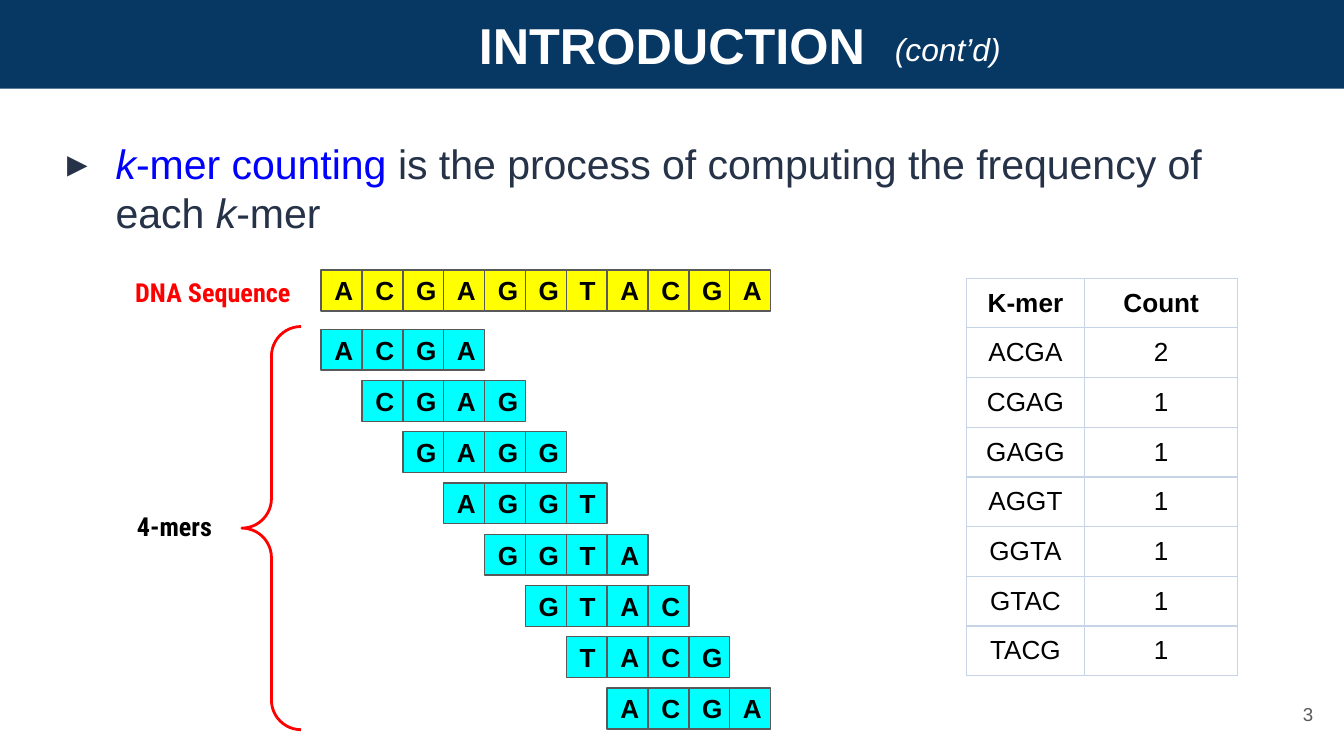
"""Build the k-mer counting introduction slide."""
from collections import Counter

from lxml.etree import SubElement
from pptx import Presentation
from pptx.dml.color import RGBColor
from pptx.enum.shapes import MSO_SHAPE
from pptx.enum.text import MSO_ANCHOR, MSO_AUTO_SIZE, PP_ALIGN
from pptx.oxml.ns import qn
from pptx.util import Inches, Pt


def rgb(value):
    return RGBColor.from_string(value)


def write(p, text, color="000000", size=14, **fmt):
    r = p.add_run()
    r.text = text
    r.font.color.rgb = rgb(color)
    for name, value in {"name": "Arial", "size": Pt(size), "bold": False, **fmt}.items():
        setattr(r.font, name, value)


prs = Presentation()
prs.slide_width = Inches(10)
prs.slide_height = Inches(10 * 9 / 16)
s = prs.slides.add_slide(prs.slide_layouts[1])

title, body = s.shapes.title, s.placeholders[1]
for sp, box in ((title, (0, 0, 10, 0.66)), (body, (0.26, 0.92, 9.53, 0.95))):
    sp.left, sp.top, sp.width, sp.height = map(Inches, box)
title.fill.solid()
title.fill.fore_color.rgb = rgb("073763")
p = title.text_frame.paragraphs[0]
p.alignment = PP_ALIGN.CENTER
write(p, "INTRODUCTION", "FFFFFF", 27, bold=True)

p = body.text_frame.paragraphs[0]
p.space_before = Pt(0)
pPr = p._p.get_or_add_pPr()
pPr.set("marL", str(Inches(0.5)))
pPr.set("indent", str(Inches(-0.36)))
SubElement(SubElement(pPr, qn("a:buClr")), qn("a:srgbClr"), val="263248")
SubElement(pPr, qn("a:buFont"), typeface="Arial")
SubElement(pPr, qn("a:buChar"), char="▸")
for text, color, italic in (
    ("k", "0000FF", True),
    ("-mer counting", "0000FF", False),
    (" is the process of computing the frequency of each ", "263248", False),
    ("k", "263248", True),
    ("-mer", "263248", False),
):
    write(p, text, color, 22, italic=italic)

sequence, k = "ACGAGGTACGA", 4
kmers = [sequence[i:i + k] for i in range(len(sequence) - k + 1)]
left, step, pitch = 2.39, 3.04 / 10, 2.67 / 7
strips = [(sequence, 0, 2.01, "FFFF00")]
strips += [(kmer, i, 2.45 + i * pitch, "00FFFF") for i, kmer in enumerate(kmers)]
for letters, start, top, fill in strips:
    for i, letter in enumerate(letters, start):
        sp = s.shapes.add_shape(MSO_SHAPE.RECTANGLE, Inches(left + i * step), Inches(top),
                                Inches(step), Inches(step))
        sp.shadow.inherit = False
        sp.fill.solid()
        sp.fill.fore_color.rgb = rgb(fill)
        sp.line.color.rgb = rgb("595959")
        sp.line.width = Pt(0.75)
        p = sp.text_frame.paragraphs[0]
        p.alignment = PP_ALIGN.LEFT
        write(p, letter, bold=True)

brace = s.shapes.add_shape(MSO_SHAPE.LEFT_BRACE, Inches(1.8), Inches(2.43), Inches(0.44), Inches(3))
brace.adjustments[0] = 0.5
brace.shadow.inherit = False
brace.fill.background()
brace.line.color.rgb = rgb("FF0000")
brace.line.width = Pt(1.5)

label = {"name": "Roboto Condensed", "bold": True}
top_boxes = []
for text, box, align, anchor, color, pts, fmt in (
    ("DNA Sequence", (0.72, 1.96, 1.73, 0.42), PP_ALIGN.CENTER, MSO_ANCHOR.TOP, "FF0000", 14, label),
    ("4-mers", (0.92, 3.7, 0.8, 0.52), PP_ALIGN.LEFT, MSO_ANCHOR.TOP, "000000", 14, label),
    ("(cont’d)", (6.56, 0.12, 1.27, 0.49), PP_ALIGN.LEFT, MSO_ANCHOR.TOP, "FFFFFF", 17, {"italic": True}),
    ("3", (9.27, 5.1, 0.6, 0.43), PP_ALIGN.RIGHT, MSO_ANCHOR.MIDDLE, "595959", 10, {}),
):
    sp = s.shapes.add_textbox(*map(Inches, box))
    if anchor == MSO_ANCHOR.TOP:
        top_boxes.append(sp.shape_id)
    p = sp.text_frame.paragraphs[0]
    p.alignment = align
    write(p, text, color, pts, **fmt)

frame = {"word_wrap": True, "auto_size": MSO_AUTO_SIZE.NONE}
frame.update({f"margin_{side}": Inches(0.1) for side in ("left", "top", "right", "bottom")})
for sp in s.shapes:
    for name, value in frame.items():
        setattr(sp.text_frame, name, value)
    sp.text_frame.vertical_anchor = MSO_ANCHOR.TOP if sp.shape_id in top_boxes else MSO_ANCHOR.MIDDLE

rows = [("K-mer", "Count")] + [(kmer, str(n)) for kmer, n in Counter(kmers).items()]
row_height = 0.37
table = s.shapes.add_table(len(rows), 2, Inches(7.19), Inches(2.07),
                           Inches(2.02), Inches(row_height * len(rows))).table
table.first_row = table.horz_banding = False
for column, width in zip(table.columns, (0.88, 1.14)):
    column.width = Inches(width)
cell_format = {"vertical_anchor": MSO_ANCHOR.MIDDLE, "margin_left": Inches(0.1),
               "margin_right": Inches(0.1), "margin_top": Inches(0.07), "margin_bottom": Inches(0.07)}
for i, values in enumerate(rows):
    table.rows[i].height = Inches(row_height)
    for j, value in enumerate(values):
        cell = table.cell(i, j)
        for name, setting in cell_format.items():
            setattr(cell, name, setting)
        tcPr = cell._tc.get_or_add_tcPr()
        for side in ("L", "R", "T", "B"):
            ln = SubElement(tcPr, qn(f"a:ln{side}"), w=str(Pt(0.75)))
            SubElement(SubElement(ln, qn("a:solidFill")), qn("a:srgbClr"), val="C7D3E6")
        cell.fill.solid()
        cell.fill.fore_color.rgb = rgb("FFFFFF")
        p = cell.text_frame.paragraphs[0]
        p.alignment = PP_ALIGN.CENTER
        write(p, value, bold=i == 0)

prs.save("out.pptx")
